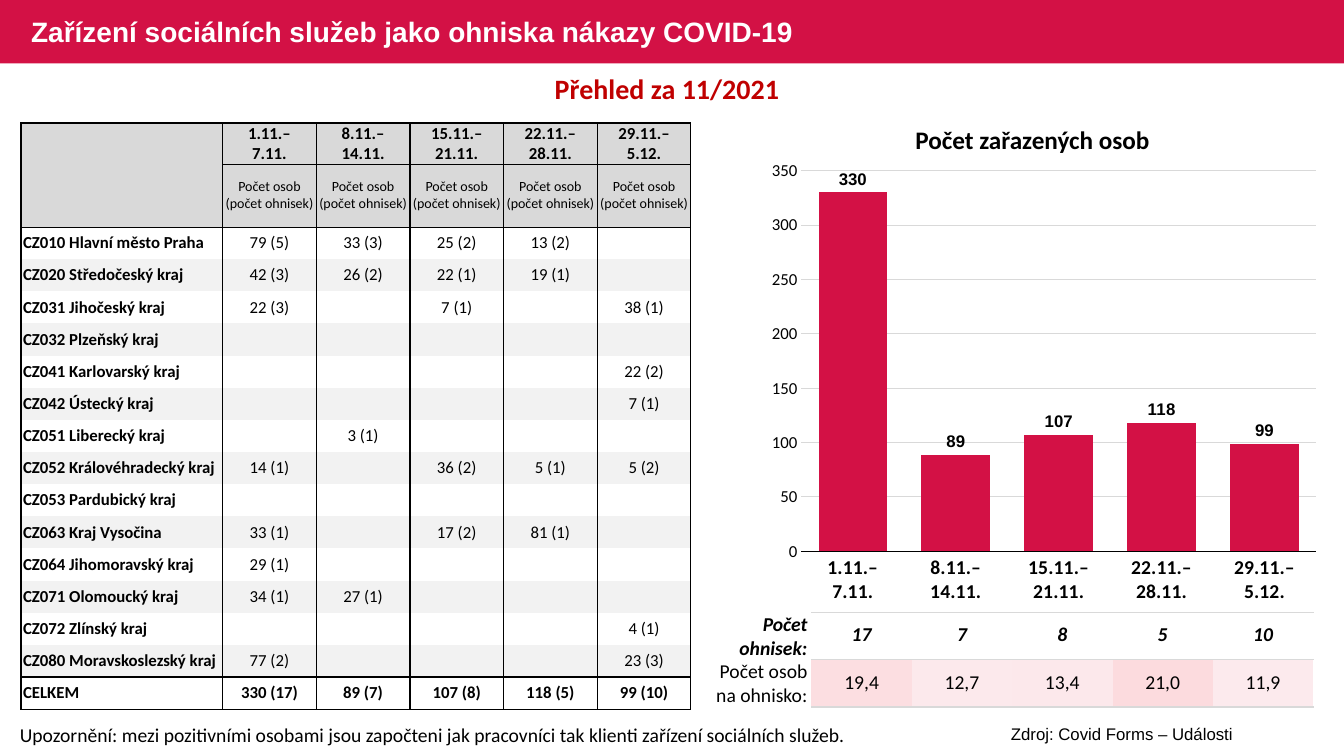
from lxml import etree
from pptx import Presentation
from pptx import util as u
from pptx.chart.data import CategoryChartData
from pptx.dml.color import RGBColor
from pptx.enum import chart as ch, shapes, text
from pptx.oxml import parse_xml
from pptx.oxml.ns import nsdecls, qn

Cm, Pt = u.Cm, u.Pt
LEFT, CENTER, RIGHT = text.PP_ALIGN.LEFT, text.PP_ALIGN.CENTER, text.PP_ALIGN.RIGHT
COLORS = {"red": "D31145", "dark_red": "C00000", "black": "000000", "white": "FFFFFF",
          "header": "D9D9D9", "band": "F2F2F2", "grid": "D9D9D9"}
RGB = {name: RGBColor.from_string(value) for name, value in COLORS.items()}
NO_STYLE = "{2D5ABB26-0587-4C30-8999-92F81FD0307C}"

weeks = ["1.11.–\n7.11.", "8.11.–\n14.11.", "15.11.–\n21.11.", "22.11.–\n28.11.", "29.11.–\n5.12."]
regions = [
    ("CZ010 Hlavní město Praha", "79 (5)", "33 (3)", "25 (2)", "13 (2)", ""),
    ("CZ020 Středočeský kraj", "42 (3)", "26 (2)", "22 (1)", "19 (1)", ""),
    ("CZ031 Jihočeský kraj", "22 (3)", "", "7 (1)", "", "38 (1)"),
    ("CZ032 Plzeňský kraj", "", "", "", "", ""),
    ("CZ041 Karlovarský kraj", "", "", "", "", "22 (2)"),
    ("CZ042 Ústecký kraj", "", "", "", "", "7 (1)"),
    ("CZ051 Liberecký kraj", "", "3 (1)", "", "", ""),
    ("CZ052 Královéhradecký kraj", "14 (1)", "", "36 (2)", "5 (1)", "5 (2)"),
    ("CZ053 Pardubický kraj", "", "", "", "", ""),
    ("CZ063 Kraj Vysočina", "33 (1)", "", "17 (2)", "81 (1)", ""),
    ("CZ064 Jihomoravský kraj", "29 (1)", "", "", "", ""),
    ("CZ071 Olomoucký kraj", "34 (1)", "27 (1)", "", "", ""),
    ("CZ072 Zlínský kraj", "", "", "", "", "4 (1)"),
    ("CZ080 Moravskoslezský kraj", "77 (2)", "", "", "", "23 (3)"),
]
total = ("CELKEM", "330 (17)", "89 (7)", "107 (8)", "118 (5)", "99 (10)")
persons = [330, 89, 107, 118, 99]
metrics = [("17", "7", "8", "5", "10"), ("19,4", "12,7", "13,4", "21,0", "11,9")]
metric_labels = ["Počet ohnisek:", "Počet osob na ohnisko:"]
rate_fills = ["FCDEE1", "FCE9EC", "FCE8EB", "FCDBDE", "FCEAED"]


def write(tf, content, size, color="black", font="Calibri", bold=False, italic=False, align=LEFT):
    """Fill the first paragraph, one run for each line of content."""
    p = tf.paragraphs[0]
    p.alignment = align
    for i, line in enumerate(content.split("\n")):
        if i:
            p.add_line_break()
        r = p.add_run()
        r.text = line
        r.font.size, r.font.name = Pt(size), font
        r.font.bold, r.font.italic = bold, italic
        r.font.color.rgb = RGB[color]
    return p


def format_cell(cell, borders, fill=None, side=0.02, right=None):
    """Set margins, fill and borders, given as {"L": (colour, points)}."""
    cell.vertical_anchor = text.MSO_ANCHOR.MIDDLE
    cell.margin_top = cell.margin_bottom = 0
    cell.margin_left = Cm(side)
    cell.margin_right = Cm(right or side)
    tcPr = cell._tc.get_or_add_tcPr()
    for edge in "LRTB":
        ln = etree.SubElement(tcPr, qn(f"a:ln{edge}"))
        if edge in borders:
            color, width = borders[edge]
            ln.set("w", str(Pt(width)))
            solid_fill = etree.SubElement(ln, qn("a:solidFill"))
            etree.SubElement(solid_fill, qn("a:srgbClr"), val=COLORS[color])
        else:
            etree.SubElement(ln, qn("a:noFill"))
    if fill:
        cell.fill.solid()
        cell.fill.fore_color.rgb = RGBColor.from_string(fill)
    else:
        cell.fill.background()


prs = Presentation()
prs.slide_width, prs.slide_height = Cm(33.87), Cm(19.05)
s = prs.slides.add_slide(prs.slide_layouts[5])

# Header band and title
band = s.shapes.add_shape(shapes.MSO_SHAPE.RECTANGLE, 0, 0, prs.slide_width, Cm(1.6))
band.shadow.inherit = False
band.fill.solid()
band.fill.fore_color.rgb = RGB["red"]
band.line.fill.background()
s.shapes._spTree.insert(2, band._element)

title = s.shapes.title
title.left, title.top, title.width, title.height = Cm(0.53), Cm(0.05), Cm(20.65), Cm(1.6)
title.text_frame.vertical_anchor = text.MSO_ANCHOR.MIDDLE
p = write(title.text_frame, "Zařízení sociálních služeb jako ohniska nákazy COVID-19",
          20, "white", "Arial", bold=True)
p.line_spacing = 0.9

# Captions
for content, box, style in [
    ("Přehled za 11/2021", (0.53, 1.68, 32.56, 1.11),
     dict(size=20, color="dark_red", bold=True, align=CENTER)),
    ("Počet zařazených osob", (19.2, 3.02, 13.64, 1.03), dict(size=18, bold=True, align=CENTER)),
    ("Upozornění: mezi pozitivními osobami jsou započteni jak pracovníci tak klienti "
     "zařízení sociálních služeb.", (0.25, 18.08, 21.64, 0.86), dict(size=14)),
    ("Zdroj: Covid Forms – Události", (22.94, 18.11, 10.67, 0.77),
     dict(size=12, font="Arial", align=CENTER)),
]:
    sp = s.shapes.add_textbox(*map(Cm, box))
    sp.text_frame.word_wrap = True
    write(sp.text_frame, content, **style)

# Empty tables: metrics under the chart, regions by week, metric labels
tables = []
for left, top, widths, heights in [
    (20.45, 15.4, [2.53] * 5, [1.2] * 2),
    (0.53, 3.1, [5.08] + [2.36] * 5, [1.04, 1.58] + [0.81] * 15),
    (17.88, 15.44, [2.57] + [1.81] * 7, [1.18] * 2),
]:
    table = s.shapes.add_table(len(heights), len(widths), Cm(left), Cm(top),
                               Cm(sum(widths)), Cm(sum(heights))).table
    table._tbl.tblPr[0].text = NO_STYLE
    table.first_row = table.horz_banding = False
    for column, width in zip(table.columns, widths):
        column.width = Cm(width)
    for row, height in zip(table.rows, heights):
        row.height = Cm(height)
    tables.append(table)
metric_table, region_table, label_table = tables

rows = [("", *weeks), ("",) + ("Počet osob (počet ohnisek)",) * 5, *regions, total]
last = len(rows) - 1
solid, thin = ("black", 1), ("black", 0.5)
edges = {0: {"T": solid, "B": solid}, 1: {"T": solid, "B": thin}, 2: {"T": thin},
         last - 1: {"B": solid}, last: {"T": solid, "B": solid}}
region_table.cell(0, 0).merge(region_table.cell(1, 0))
for i, row in enumerate(rows):
    fill = COLORS["header" if i < 2 else "band" if i % 2 else "white"]
    for j, content in enumerate(row):
        cell = region_table.cell(i, j)
        borders = {"L": solid, "R": solid, **edges.get(i, {})}
        if j == 0 and i < 2:
            borders.pop("B" if i == 0 else "T")
        format_cell(cell, borders, fill, side=0.02 if j else 0.05)
        if content:
            write(cell.text_frame, content, 10 if i == 1 else 12,
                  bold=j == 0 or i in (0, last), align=CENTER if j else LEFT)

rule = ("grid", 1)
for i, row in enumerate(metrics):
    style = dict(size=14, bold=i == 0, italic=i == 0)
    for j, content in enumerate(row):
        cell = metric_table.cell(i, j)
        format_cell(cell, {}, rate_fills[j] if i else None)
        write(cell.text_frame, content, align=CENTER, **style)
    for j in range(len(label_table.columns)):
        format_cell(label_table.cell(i, j), {"T": rule, "B": rule} if j else {}, right=0.1)
    write(label_table.cell(i, 0).text_frame, metric_labels[i], align=RIGHT, **style)

# Column chart
data = CategoryChartData()
data.categories = weeks
data.add_series("Series 1", persons)
chart = s.shapes.add_chart(ch.XL_CHART_TYPE.COLUMN_CLUSTERED, Cm(19.2), Cm(3.84),
                           Cm(14.25), Cm(11.56), data).chart
chart.has_title = chart.has_legend = False
plot = chart.plots[0]
plot.gap_width = 50
plot.vary_by_categories = False
series_fill = plot.series[0].format.fill
series_fill.solid()
series_fill.fore_color.rgb = RGB["red"]
plot.has_data_labels = True
labels = plot.data_labels
labels.show_value = True
labels.position = ch.XL_LABEL_POSITION.OUTSIDE_END

weeks_axis, persons_axis = chart.category_axis, chart.value_axis
for font, name, size, bold in [(chart.font, "Arial", 14, True), (labels.font, "Arial", 12, True),
                               (weeks_axis.tick_labels.font, "Calibri", 14, True),
                               (persons_axis.tick_labels.font, "Calibri", 12, False)]:
    font.name, font.size, font.bold = name, Pt(size), bold
    font.color.rgb = RGB["black"]
for axis in (weeks_axis, persons_axis):
    axis.major_tick_mark = axis.minor_tick_mark = ch.XL_TICK_MARK.NONE
persons_axis.minimum_scale, persons_axis.maximum_scale = 0, 350
persons_axis.major_unit = 50
persons_axis.format.line.fill.background()
for line, color in [(weeks_axis.format.line, "black"),
                    (persons_axis.major_gridlines.format.line, "grid")]:
    line.color.rgb = RGB[color]
    line.width = Pt(0.75)

plot_area = chart._chartSpace.chart.plotArea
for old in plot_area.findall(qn("c:layout")):
    plot_area.remove(old)
plot_area.insert(0, parse_xml(
    f'<c:layout {nsdecls("c")}><c:manualLayout><c:layoutTarget val="inner"/>'
    '<c:xMode val="edge"/><c:yMode val="edge"/><c:x val="0.07"/><c:y val="0.04"/>'
    '<c:w val="0.91"/><c:h val="0.83"/></c:manualLayout></c:layout>'))

prs.save("out.pptx")
